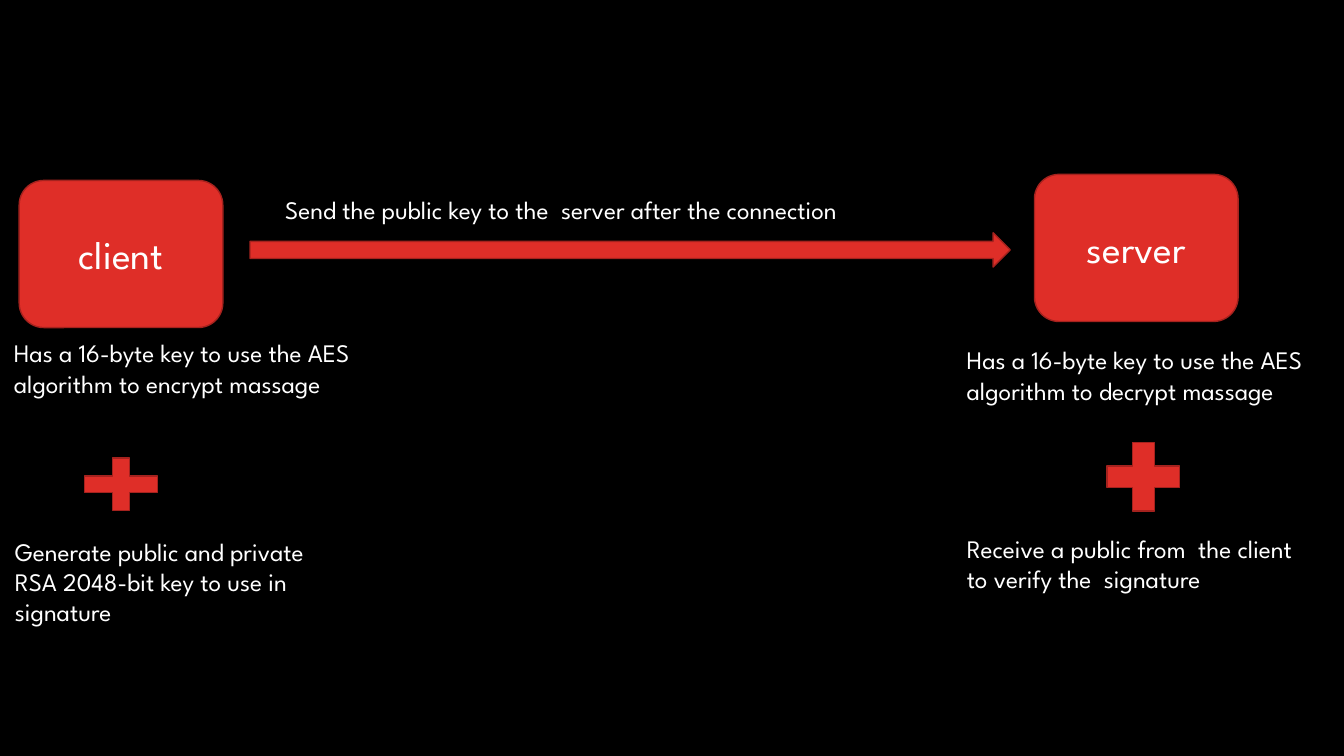
from pptx import Presentation
from pptx.dml.color import RGBColor
from pptx.enum.shapes import MSO_SHAPE
from pptx.enum.text import MSO_ANCHOR, PP_ALIGN
from pptx.util import Inches, Pt

COLORS = {"back": "000000", "red": "DF2E28", "edge": "A5221E", "text": "FFFFFF"}
FONT = "League Spartan"

deck = Presentation()
deck.slide_width, deck.slide_height = Inches(13.33), Inches(7.5)
slide = deck.slides.add_slide(deck.slide_layouts[6])
slide.background.fill.solid()
slide.background.fill.fore_color.rgb = RGBColor.from_string(COLORS["back"])


def write(shape, text, size):
    """Fill a shape with one white paragraph and return the paragraph."""
    shape.text_frame.word_wrap = True
    para = shape.text_frame.paragraphs[0]
    para.text = text
    para.font.name = FONT
    para.font.size = Pt(size)
    para.font.color.rgb = RGBColor.from_string(COLORS["text"])
    return para


def draw(kind, *box):
    """Add a red preset shape; box is left, top, width, height in inches."""
    shape = slide.shapes.add_shape(kind, *map(Inches, box))
    shape.shadow.inherit = False
    shape.fill.solid()
    shape.fill.fore_color.rgb = RGBColor.from_string(COLORS["red"])
    shape.line.color.rgb = RGBColor.from_string(COLORS["edge"])
    shape.line.width = Pt(1)
    return shape


for name, left, top in [("client", 0.19, 1.79), ("server", 10.26, 1.73)]:
    node = draw(MSO_SHAPE.ROUNDED_RECTANGLE, left, top, 2.02, 1.46)
    node.text_frame.vertical_anchor = MSO_ANCHOR.MIDDLE
    write(node, name, 28).alignment = PP_ALIGN.CENTER

draw(MSO_SHAPE.RIGHT_ARROW, 2.48, 2.31, 7.54, 0.34)
draw(MSO_SHAPE.MATH_PLUS, 0.71, 4.45, 0.98, 0.71)
draw(MSO_SHAPE.MATH_PLUS, 10.85, 4.27, 0.98, 0.92)

notes = [
    ("Send the public key to the  server after the connection", 2.73, 1.88, 7.02, 0.4),
    ("Has a 16-byte key to use the AES algorithm to encrypt massage", 0.04, 3.3, 3.57, 1.01),
    ("Generate public and private RSA 2048-bit key to use in signature", 0.05, 5.27, 3.17, 1.01),
    ("Has a 16-byte key to use the AES algorithm to decrypt massage", 9.49, 3.37, 3.8, 1.01),
    ("Receive a public from  the client to verify the  signature", 9.49, 5.24, 3.68, 0.71),
]
for text, *box in notes:
    write(slide.shapes.add_textbox(*map(Inches, box)), text, 18)

deck.save("out.pptx")
